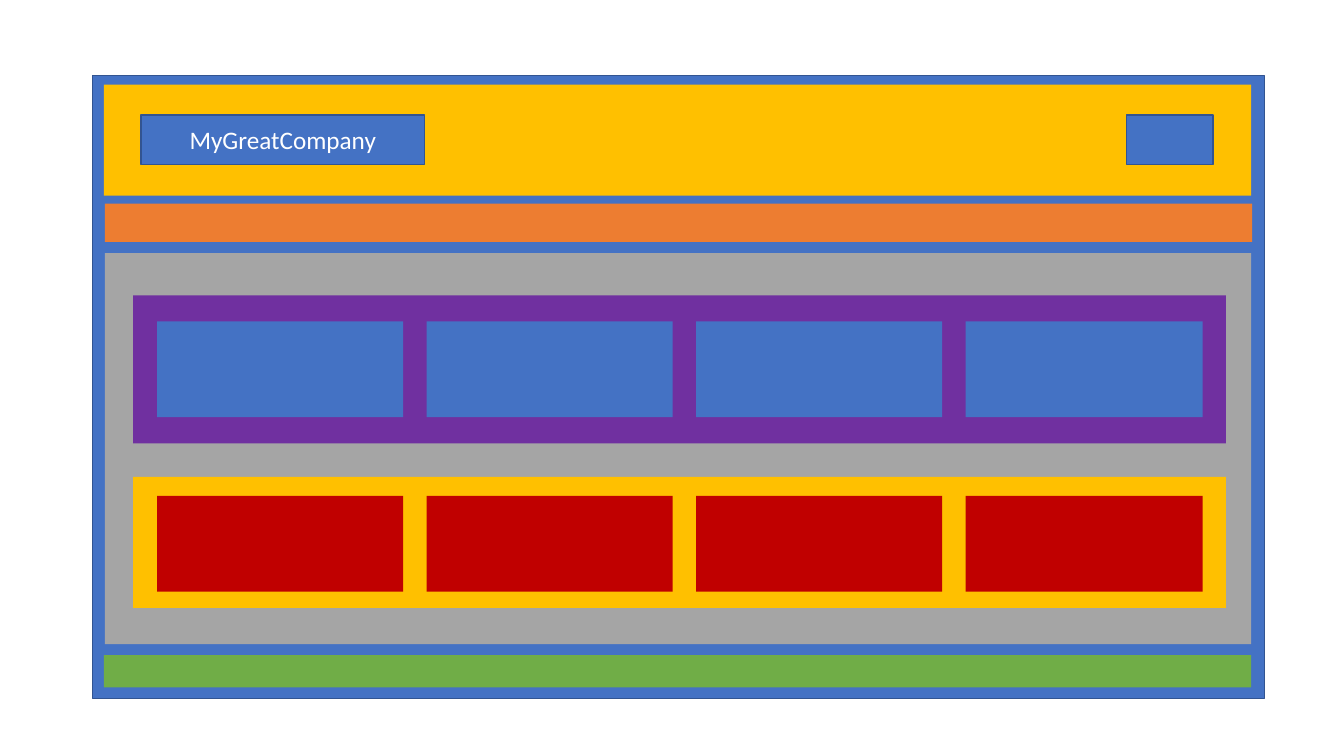
import pptx
import pptx.util
import pptx.dml.color
import pptx.enum.shapes
import pptx.enum.text

WIDE = pptx.util.Inches(13.33)
HIGH = pptx.util.Inches(7.5)
BLUE, EDGE, GOLD, ORANGE = "4472C4", "325491", "FFC000", "ED7D31"
GRAY, GREEN, PURPLE, RED, WHITE = "A5A5A5", "70AD47", "7030A0", "C00000", "FFFFFF"


def color(code):
    return pptx.dml.color.RGBColor.from_string(code)


def box(slide, x, y, w, h, fill, edge=None):
    """Draw a rectangle; lengths are percentages of the slide's size."""
    shape = slide.shapes.add_shape(
        pptx.enum.shapes.MSO_SHAPE.RECTANGLE,
        round(WIDE * x / 100), round(HIGH * y / 100),
        round(WIDE * w / 100), round(HIGH * h / 100))
    shape.shadow.inherit = False
    shape.fill.solid()
    shape.fill.fore_color.rgb = color(fill)
    if edge:
        shape.line.color.rgb = color(edge)
        shape.line.width = pptx.util.Pt(1)
    else:
        shape.line.fill.background()
    return shape


def label(shape, text):
    frame = shape.text_frame
    frame.word_wrap = True
    frame.vertical_anchor = pptx.enum.text.MSO_ANCHOR.MIDDLE
    para = frame.paragraphs[0]
    para.text = text
    para.alignment = pptx.enum.text.PP_ALIGN.CENTER
    para.font.name = "Calibri"
    para.font.size = pptx.util.Pt(18)
    para.font.color.rgb = color(WHITE)


def cards(slide, y, fill):
    """Draw a row of four cards, the last one slightly narrower."""
    for col, w in enumerate((18.3, 18.3, 18.3, 17.63)):
        box(slide, 11.7 + col * 20.05, y, w, 12.67, fill)


def main():
    deck = pptx.Presentation()
    deck.slide_width, deck.slide_height = WIDE, HIGH
    slide = deck.slides.add_slide(deck.slide_layouts[6])

    box(slide, 6.9, 10, 87.17, 82.4, BLUE, EDGE)

    # Page bands: header, menu, body, footer
    box(slide, 7.73, 11.2, 85.37, 14.67, GOLD)
    box(slide, 7.8, 26.93, 85.37, 5.07, ORANGE)
    box(slide, 7.8, 33.47, 85.3, 51.73, GRAY)
    box(slide, 7.73, 86.67, 85.37, 4.27, GREEN)

    # Header items
    label(box(slide, 10.5, 15.2, 21.08, 6.53, BLUE, EDGE), "MyGreatCompany")
    box(slide, 83.8, 15.2, 6.45, 6.53, BLUE, EDGE)

    # Body panels
    box(slide, 9.9, 39.07, 81.32, 19.6, PURPLE)
    cards(slide, 42.53, BLUE)
    box(slide, 9.9, 63.07, 81.32, 17.33, GOLD)
    cards(slide, 65.6, RED)

    deck.save("out.pptx")


if __name__ == "__main__":
    main()
